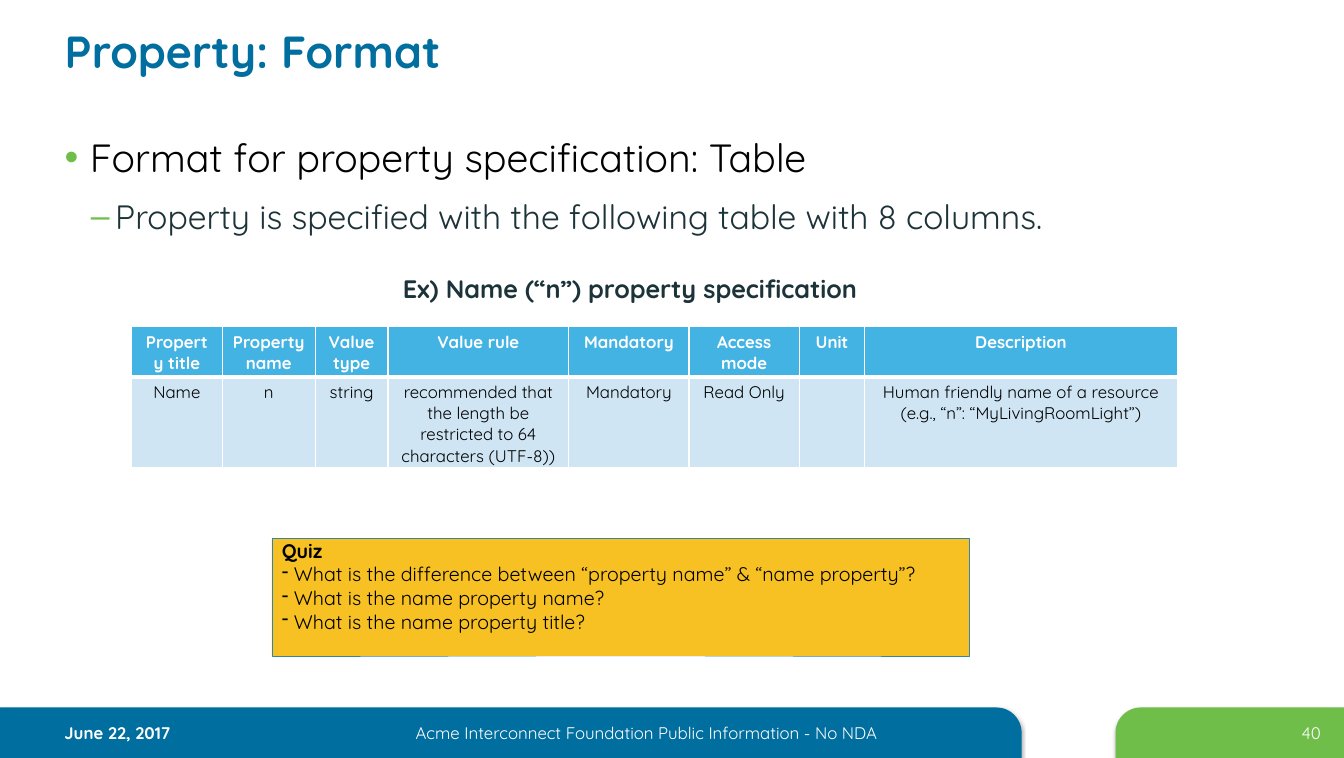
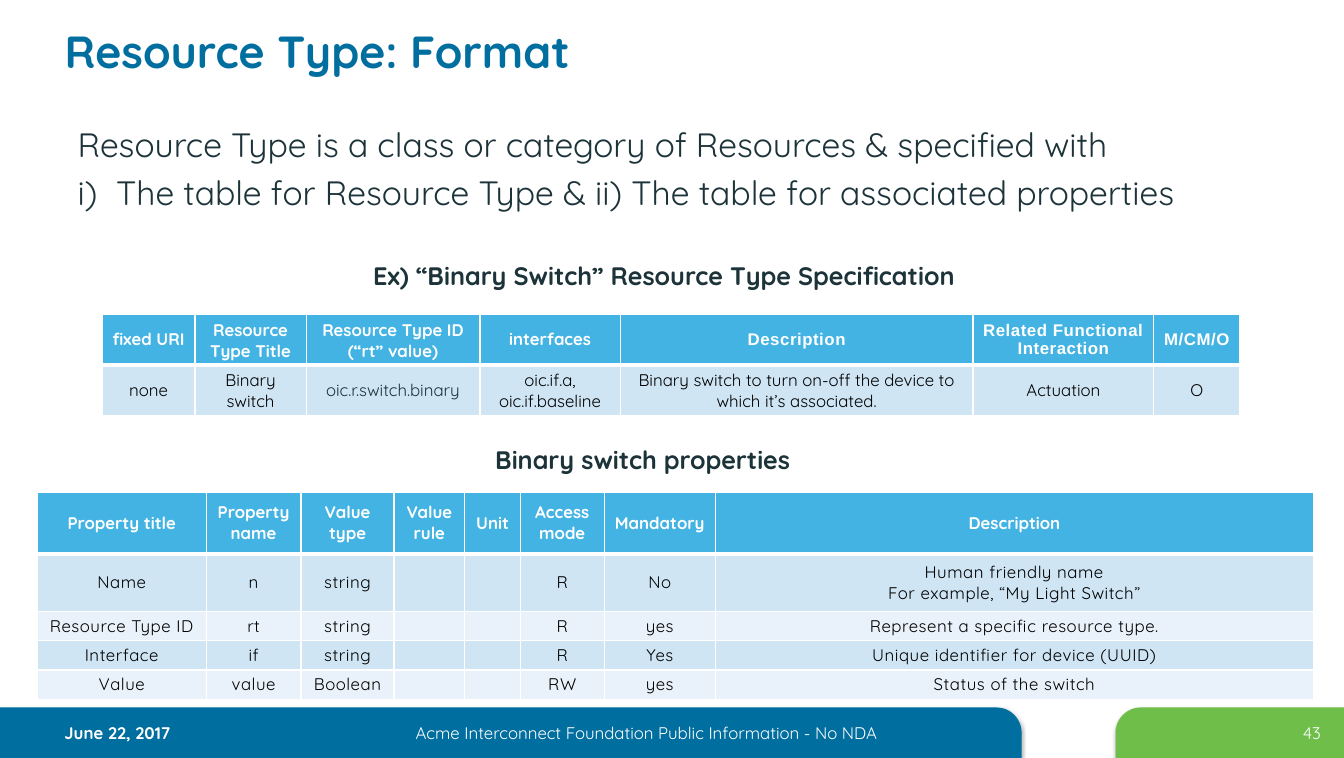
from dataclasses import dataclass
from typing import Optional, Union

from lxml import etree
from pptx import Presentation
from pptx.dml.color import RGBColor
from pptx.enum import shapes, text as t
from pptx.oxml.ns import qn
from pptx.util import Inches, Pt

HUES = {
    "blue": "006E9F", "green": "6EBE49", "sky": "43B3E3", "pale": "CFE5F4",
    "mist": "E9F2FA", "gold": "F7C123", "edge": "3284A8", "ink": "1C3339",
    "black": "000000", "white": "FFFFFF",
}
FACE = "Quicksand"
LEFT, MID, RIGHT = t.PP_ALIGN.LEFT, t.PP_ALIGN.CENTER, t.PP_ALIGN.RIGHT
TOP, CENTRE = t.MSO_ANCHOR.TOP, t.MSO_ANCHOR.MIDDLE
ORG = "Acme Interconnect Foundation"


@dataclass(frozen=True)
class Box:
    left: float
    top: float
    width: float
    height: float

    def sizes(self) -> list:
        return [Inches(n) for n in (self.left, self.top, self.width, self.height)]


@dataclass(frozen=True)
class Band:
    box: Box
    hue: str
    flip: bool = False


@dataclass(frozen=True)
class Label:
    box: Box
    text: str
    align: t.PP_ALIGN = LEFT
    bold: bool = False


@dataclass(frozen=True)
class Cell:
    """One table cell; a tight one has slim margins and spaced text."""
    text: str
    hue: Optional[str] = None
    face: str = FACE
    tight: bool = False


@dataclass(frozen=True)
class Grid:
    box: Box
    cols: list[float]
    rows: list[float]
    cells: list[list[Union[str, Cell]]]
    anchor: t.MSO_ANCHOR = CENTRE


BANDS = [
    Band(Box(0, 7, 10.11, 0.5), "blue"),
    Band(Box(11.04, 7, 2.26, 0.5), "green", flip=True),
]
NOTES = [
    Label(Box(0.54, 7.1, 2.54, 0.29), "June 22, 2017", bold=True),
    Label(Box(3.27, 7.1, 6.26, 0.28), f"{ORG} Public Information - No NDA", MID),
]
PAGE = Box(11.83, 7.1, 1.34, 0.38)
HEAD = Box(0.54, 0.1, 11.26, 0.79)

NAME = Grid(
    Box(1.3, 3.23, 10.36, 1.4),
    [0.9, 0.92, 0.72, 1.79, 1.19, 1.09, 0.65, 3.09],
    [0.41, 0.44],
    [
        ["Property title", "Property name", "Value type", "Value rule",
         "Mandatory", "Access mode", "Unit", "Description"],
        ["Name", "n", "string",
         "recommended that the length be restricted to 64 characters (UTF-8))",
         "Mandatory", "Read Only", "",
         "Human friendly name of a resource\n(e.g., “n”: “MyLivingRoomLight”)"],
    ],
    TOP,
)
TYPE = Grid(
    Box(1.01, 3.11, 11.26, 1),
    [0.92, 1.1, 1.72, 1.39, 3.49, 1.79, 0.85],
    [0.41, 0.44],
    [
        ["fixed URI", "Resource Type Title", "Resource Type ID (“rt” value)", "interfaces"]
        + [Cell(s, face="Arial", tight=True)
           for s in ("Description", "Related Functional Interaction", "M/CM/O")],
        ["none", "Binary switch", Cell("oic.r.switch.binary", hue="ink"),
         "oic.if.a, oic.if.baseline",
         "Binary switch to turn on-off the device to which it’s associated.",
         "Actuation", "O"],
    ],
)
PROPS = [
    ["Name", "n", "string", "", "", "R", "No",
     "Human friendly name\vFor example, “My Light Switch”"],
    ["Resource Type ID", "rt", "string", "", "", "R", "yes",
     "Represent a specific resource type."],
    ["Interface", "if", "string", "", "", "R", "Yes",
     "Unique identifier for device (UUID)"],
    ["Value", "value", "Boolean", "", "", "RW", "yes", "Status of the switch"],
]
SWITCH = Grid(
    Box(0.37, 4.87, 12.63, 2.04),
    [1.67, 0.94, 0.92, 0.7, 0.55, 0.83, 1.1, 5.92],
    [0.61, 0.57, 0.29, 0.29, 0.29],
    [["Property title", "Property name", "Value type", "Value rule", "Unit",
      "Access mode", "Mandatory", "Description"]]
    + [[Cell(s, tight=True) for s in row] for row in PROPS],
)


def tint(name: str) -> RGBColor:
    return RGBColor.from_string(HUES[name])


def node(root, tag: str, **attrs):
    return etree.SubElement(root, qn(tag), {k: str(v) for k, v in attrs.items()})


def write(frame, text: str, *, size: float = 12, hue: str = "black",
          bold: bool = False, face: str = FACE, align: t.PP_ALIGN = LEFT,
          level: int = 0, indent: Optional[tuple[float, float]] = None,
          lead: bool = False, space: Optional[tuple[float, float]] = None,
          bullet: str = "", dot: str = "", track: float = 0) -> None:
    """Add each line as a paragraph; lead puts 20% of a line above it."""
    for line in text.split("\n"):
        para = frame.paragraphs[-1]
        if para.runs:
            para = frame.add_paragraph()
        para.text = line
        para.alignment, para.level = align, level
        props = para._p.get_or_add_pPr()
        if indent:
            props.set("marL", str(Inches(indent[0])))
            props.set("indent", str(Inches(indent[1])))
        if space:
            para.space_before, para.space_after = map(Pt, space)
        if lead:
            para.space_before = Pt(1)
            gap = props.find(qn("a:spcBef"))
            gap.remove(gap[0])
            node(gap, "a:spcPct", val=20000)
        if dot:
            node(node(props, "a:buClr"), "a:srgbClr", val=HUES[dot])
        if bullet:
            node(props, "a:buChar", char=bullet)
        for run in para.runs:
            font = run.font
            font.name, font.size, font.bold = face, Pt(size), bold
            font.color.rgb = tint(hue)
            if track:
                run._r.get_or_add_rPr().set("spc", str(round(track * 100)))
        if not line:
            node(para._p, "a:endParaRPr", sz=size * 100)


def label(slide, box: Box, text: str, **form) -> None:
    frame = slide.shapes.add_textbox(*box.sizes()).text_frame
    frame.word_wrap = True
    write(frame, text, **form)


def place(holder, box: Box, anchor: t.MSO_ANCHOR):
    """Move a placeholder and return its text frame."""
    holder.left, holder.top, holder.width, holder.height = box.sizes()
    frame = holder.text_frame
    frame.auto_size = t.MSO_AUTO_SIZE.NONE
    frame.vertical_anchor = anchor
    return frame


def block(slide, kind, box: Box, hue: str):
    shape = slide.shapes.add_shape(kind, *box.sizes())
    shape.shadow.inherit = False
    shape.fill.solid()
    shape.fill.fore_color.rgb = tint(hue)
    shape.line.fill.background()
    return shape


def band(slide, item: Band) -> None:
    kind = shapes.MSO_SHAPE.ROUND_1_RECTANGLE
    shape = block(slide, kind, item.box, item.hue)
    shape.adjustments[0] = 0.5
    props = shape._element.spPr
    if item.flip:
        props.find(qn("a:xfrm")).set("flipH", "1")
    shade = node(props.find(qn("a:effectLst")), "a:outerShdw", blurRad=Pt(3.1),
                 dist=Pt(1.8), dir=90 * 60000, algn="t", rotWithShape=0)
    node(node(shade, "a:srgbClr", val=HUES["black"]), "a:alpha", val=35000)


def rule(cell, base: float) -> None:
    """Draw white cell borders, with the given width at the base."""
    props = cell._tc.get_or_add_tcPr()
    for side, width in (("L", 1), ("R", 1), ("T", 1), ("B", base)):
        line = node(props, f"a:ln{side}", w=Pt(width))
        node(node(line, "a:solidFill"), "a:srgbClr", val=HUES["white"])


def table(slide, grid: Grid) -> None:
    frame = slide.shapes.add_table(len(grid.rows), len(grid.cols), *grid.box.sizes())
    sheet = frame.table
    sheet.horz_banding = False
    for col, width in zip(sheet.columns, grid.cols):
        col.width = Inches(width)
    for row, height in zip(sheet.rows, grid.rows):
        row.height = Inches(height)
    frame.height = Inches(grid.box.height)
    for r, row in enumerate(grid.cells):
        top = r == 0
        fill = "sky" if top else ("mist", "pale")[r % 2]
        for c, item in enumerate(row):
            data = Cell(item) if isinstance(item, str) else item
            cell = sheet.cell(r, c)
            cell.vertical_anchor = grid.anchor
            if data.tight:
                cell.margin_left = cell.margin_right = Inches(0.07)
                cell.margin_top = cell.margin_bottom = 0
            rule(cell, 3 if top else 1)
            cell.fill.solid()
            cell.fill.fore_color.rgb = tint(fill)
            write(cell.text_frame, data.text, bold=top, face=data.face, align=MID,
                  hue=data.hue or ("white" if top else "black"),
                  space=(3, 3) if data.tight else None,
                  track=0.4 if data.tight else 0)


def start(deck, layout: int, title: str, page: int):
    """Add a slide with its title, bands and footer."""
    slide = deck.slides.add_slide(deck.slide_layouts[layout])
    for item in BANDS:
        band(slide, item)
    write(place(slide.shapes.title, HEAD, CENTRE), title, size=32, hue="blue", bold=True)
    for note in NOTES + [Label(PAGE, str(page), RIGHT)]:
        label(slide, note.box, note.text, hue="white", align=note.align, bold=note.bold)
    return slide


def caption(slide, box: Box, text: str) -> None:
    label(slide, box, text, size=18, hue="ink", bold=True, align=MID, lead=True)


def quiz(slide) -> None:
    shape = block(slide, shapes.MSO_SHAPE.RECTANGLE, Box(2.69, 5.33, 6.9, 1.16), "gold")
    shape.line.color.rgb = tint("edge")
    shape.line.width = Pt(0.25)
    frame = shape.text_frame
    frame.vertical_anchor = TOP
    frame.margin_top = 0
    write(frame, "Quiz", size=14, bold=True)
    write(frame, "What is the difference between “property name” & “name property”?\n"
                 "What is the name property name?\nWhat is the name property title?",
          size=14, bullet="-", indent=(0.12, -0.12))


def format_slide(deck) -> None:
    slide = start(deck, 1, "Property: Format", 40)
    body = place(slide.placeholders[1], Box(0.54, 1.27, 12.25, 5.43), TOP)
    form = {"lead": True, "space": (0, 6), "dot": "green"}
    write(body, "Format for property specification: Table", size=28,
          indent=(0.25, -0.25), bullet="•", **form)
    write(body, "Property is specified with the following table with 8 columns.",
          size=24, hue="ink", level=1, indent=(0.5, -0.24), bullet="–", **form)
    table(slide, NAME)
    caption(slide, Box(2.96, 2.65, 6.55, 0.43), "Ex) Name (“n”) property specification")
    quiz(slide)


def type_slide(deck) -> None:
    slide = start(deck, 5, "Resource Type: Format", 43)
    label(slide, Box(0.67, 1.18, 11.97, 1.21),
          "Resource Type is a class or category of Resources & specified with\n"
          "i)\tThe table for Resource Type & ii) The table for associated properties",
          size=24, hue="ink", indent=(0.38, -0.38), lead=True)
    caption(slide, Box(2.93, 2.53, 7.28, 0.43),
            "Ex) “Binary Switch” Resource Type Specification")
    table(slide, TYPE)
    caption(slide, Box(1.22, 4.35, 10.28, 0.43), "Binary switch properties")
    table(slide, SWITCH)


def main() -> None:
    deck = Presentation()
    deck.slide_width, deck.slide_height = Inches(13.3), Inches(7.5)
    format_slide(deck)
    type_slide(deck)
    deck.save("out.pptx")


if __name__ == "__main__":
    main()
